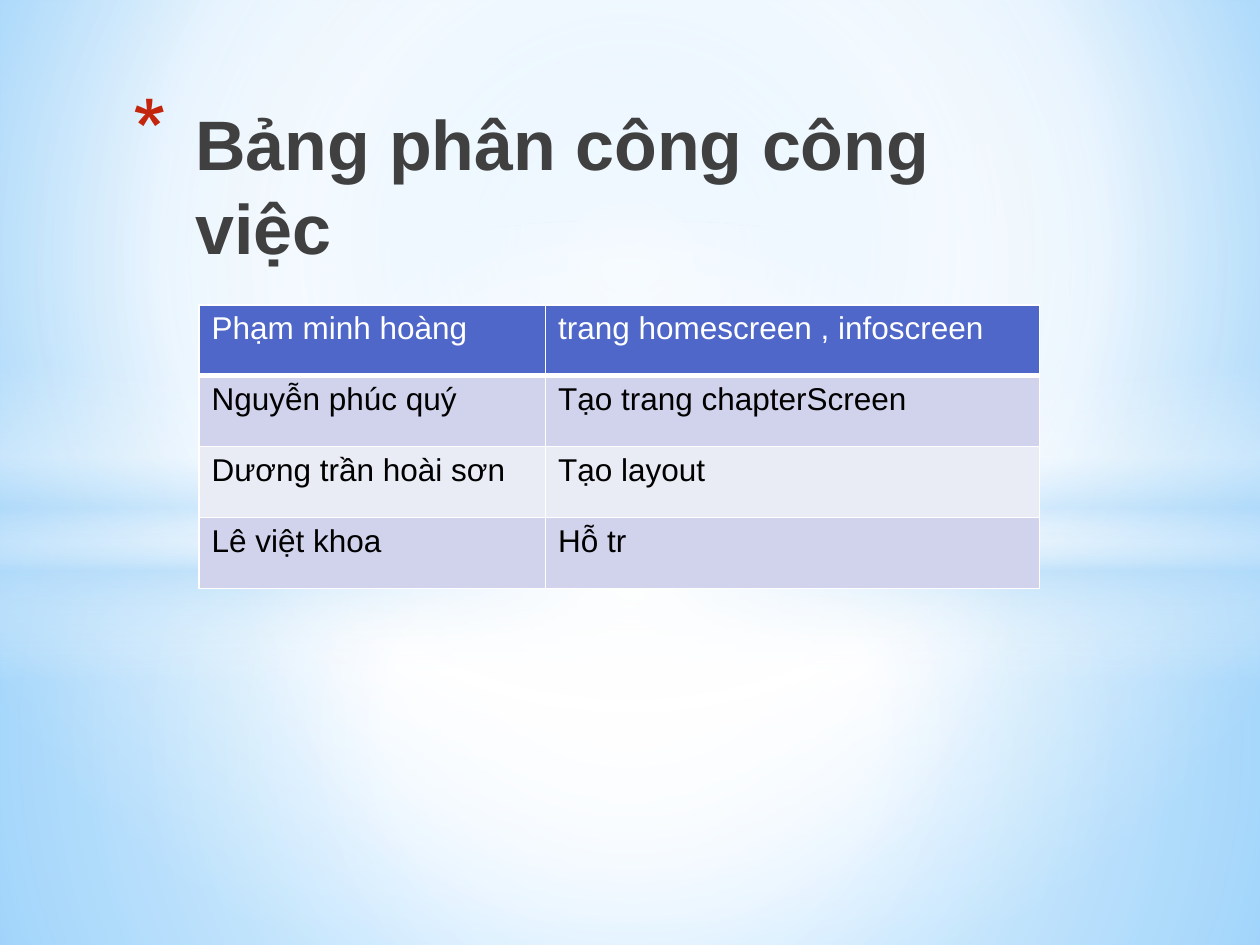
from lxml.etree import SubElement
from pptx import Presentation
from pptx.dml.color import RGBColor
from pptx.enum.shapes import MSO_SHAPE as Shape
from pptx.oxml import parse_xml
from pptx.oxml.ns import nsdecls, qn
from pptx.util import Inches, Pt

CENTRE = (50, 50, 50, 50)
WHITE = "FFFFFF"
PALE_BLUE = "B4DCFA"
TASKS = [
    ("Phạm minh hoàng", "trang homescreen , infoscreen"),
    ("Nguyễn phúc quý", "Tạo trang chapterScreen"),
    ("Dương trần hoài sơn", "Tạo layout"),
    ("Lê việt khoa", "Hỗ tr"),
]


def color(value):
    """Return a colour from a hex string."""
    return RGBColor.from_string(value)


def set_gradient(fill, owner, stops, focus=None):
    """Give the owner a circular gradient, or a vertical one without focus."""
    fill.solid()
    stop_xml = "".join(
        f'<a:gs pos="{position * 1000}"><a:srgbClr val="{value}">'
        f'<a:alpha val="{opacity * 1000}"/></a:srgbClr></a:gs>'
        for position, value, opacity in stops)
    direction = '<a:lin ang="5400000" scaled="0"/>'
    if focus:
        sides = " ".join(f'{side}="{share * 1000}"' for side, share in zip("ltrb", focus))
        direction = f'<a:path path="circle"><a:fillToRect {sides}/></a:path>'
    gradient = parse_xml(
        f'<a:gradFill {nsdecls("a")} rotWithShape="1"><a:gsLst>{stop_xml}</a:gsLst>'
        f'{direction}</a:gradFill>')
    solid = owner.find(qn("a:solidFill"))
    owner.replace(solid, gradient)


def add_glow(slide, kind, top, height, stops, focus=CENTRE):
    """Add a full-width shape with a translucent gradient."""
    shape = slide.shapes.add_shape(kind, 0, Inches(top), Inches(10), Inches(height))
    shape.shadow.inherit = False
    shape.line.fill.background()
    set_gradient(shape.fill, shape.element.spPr, stops, focus)


def write_text(frame, text, size=18, fill="000000", bold=False):
    """Write one formatted paragraph and return it."""
    paragraph = frame.paragraphs[0]
    run = paragraph.add_run()
    run.text = text
    run.font.name = "Arial"
    run.font.size = Pt(size)
    run.font.bold = bold
    run.font.color.rgb = color(fill)
    return paragraph


def add_bullet(paragraph, character, fill, percent, margin, indent):
    """Give a paragraph a coloured bullet with a hanging indent."""
    properties = paragraph._p.get_or_add_pPr()
    properties.set("marL", str(Inches(margin)))
    properties.set("indent", str(Inches(indent)))
    bullet_color = SubElement(properties, qn("a:buClr"))
    SubElement(bullet_color, qn("a:srgbClr"), val=fill)
    SubElement(properties, qn("a:buSzPct"), val=str(percent * 1000))
    SubElement(properties, qn("a:buChar"), char=character)


def add_title(slide, text):
    """Add the bulleted title."""
    box = slide.shapes.add_textbox(Inches(0.75), Inches(0.8), Inches(7.85), Inches(1.25))
    frame = box.text_frame
    frame.word_wrap = True
    frame.margin_top = 0
    paragraph = write_text(frame, text, size=40, fill="404040", bold=True)
    add_bullet(paragraph, "*", "C3260C", 128, 0.7, -0.5)


def set_borders(cell, bottom):
    """Draw white borders around a cell, ahead of its fill."""
    properties = cell._tc.get_or_add_tcPr()
    widths = {"lnL": 1, "lnR": 1, "lnT": 1, "lnB": bottom}
    for index, (side, width) in enumerate(widths.items()):
        properties.insert(index, parse_xml(
            f'<a:{side} {nsdecls("a")} w="{Pt(width)}"><a:solidFill>'
            f'<a:srgbClr val="{WHITE}"/></a:solidFill></a:{side}>'))


def add_task_table(slide, rows):
    """Add the table of people and tasks."""
    table = slide.shapes.add_table(
        len(rows), 2, Inches(1.58), Inches(2.42), Inches(6.67), Inches(2.25)).table
    for column, width in zip(table.columns, (2.75, 3.92)):
        column.width = Inches(width)
    for row_index, texts in enumerate(rows):
        header = row_index == 0
        band = "4E67C8" if header else ("E9EBF5", "D0D3EB")[row_index % 2]
        for column_index, text in enumerate(texts):
            cell = table.cell(row_index, column_index)
            cell.fill.solid()
            cell.fill.fore_color.rgb = color(band)
            set_borders(cell, bottom=3 if header else 1)
            write_text(cell.text_frame, text, fill=WHITE if header else "000000")


def add_backdrop(slide):
    """Paint the background and its layers of light."""
    fill = slide.background.fill
    fill.solid()
    owner = slide.element.find(".//" + qn("p:bgPr"))
    set_gradient(fill, owner, [(0, "9ED5FF", 100), (60, WHITE, 100), (100, "5BB9FF", 100)],
                 (20, 10, 20, 60))
    add_glow(slide, Shape.RECTANGLE, 4.23, 3.27,
             [(0, WHITE, 91), (37, WHITE, 76), (100, PALE_BLUE, 79)])
    add_glow(slide, Shape.RECTANGLE, 0, 4.23,
             [(0, WHITE, 89), (48, WHITE, 62), (100, PALE_BLUE, 79)])
    add_glow(slide, Shape.RECTANGLE, 2.9, 2.5,
             [(0, WHITE, 0), (29, WHITE, 30), (45, PALE_BLUE, 40), (55, WHITE, 26),
              (65, PALE_BLUE, 60), (100, WHITE, 0)], focus=None)
    add_glow(slide, Shape.OVAL, 1.75, 5.58, [(0, WHITE, 100), (54, WHITE, 0)])


def main():
    """Build and save the slide."""
    presentation = Presentation()
    presentation.slide_width = Inches(10)
    presentation.slide_height = Inches(7.5)
    slide = presentation.slides.add_slide(presentation.slide_layouts[6])
    add_backdrop(slide)
    add_title(slide, "Bảng phân công công việc")
    add_task_table(slide, TASKS)
    presentation.save("out.pptx")


main()
